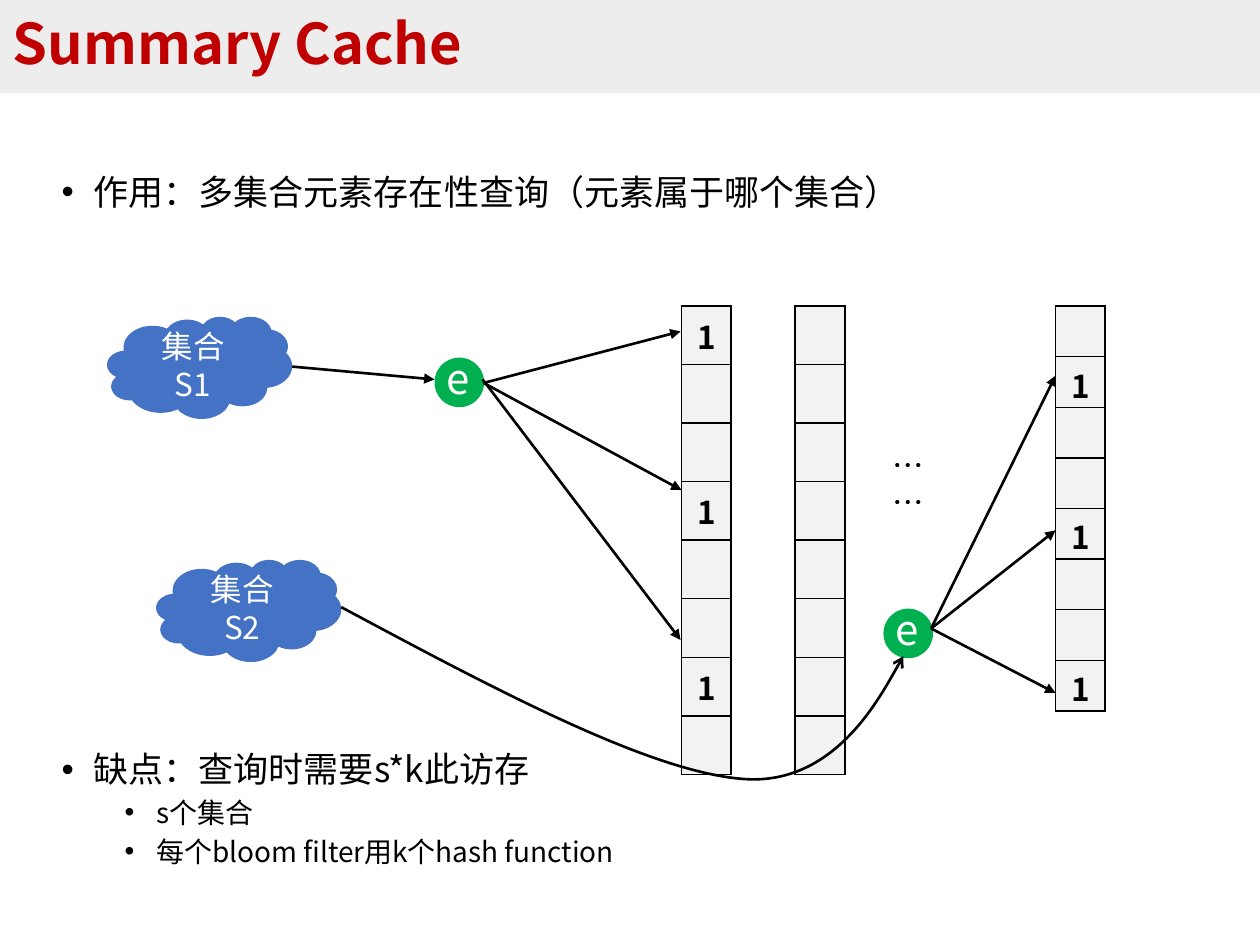
from lxml import etree
from pptx import Presentation
from pptx.dml.color import RGBColor
from pptx.enum import shapes, text
from pptx.oxml import ns
from pptx.util import Cm, Pt

FONT = "Noto Sans CJK SC"
BLACK = RGBColor(0x00, 0x00, 0x00)
WHITE = RGBColor(0xFF, 0xFF, 0xFF)
RED = RGBColor(0xC0, 0x00, 0x00)
BLUE = RGBColor(0x44, 0x72, 0xC4)
GREEN = RGBColor(0x00, 0xB0, 0x50)
BAND_GREY = RGBColor(0xED, 0xED, 0xED)
CELL_GREY = RGBColor(0xF2, 0xF2, 0xF2)


def add_run(paragraph, words, size, color, bold=False):
    run = paragraph.add_run()
    run.text = words
    run.font.size = Pt(size)
    run.font.bold = bold
    run.font.color.rgb = color
    run.font.name = FONT
    etree.SubElement(run.font._element, ns.qn("a:ea"), typeface=FONT)


def style_line(shape, arrowhead):
    shape.line.color.rgb = BLACK
    shape.line.width = Pt(1.5)
    line = shape.line._get_or_add_ln()
    etree.SubElement(line, ns.qn("a:tailEnd"), type=arrowhead)


presentation = Presentation()
presentation.slide_width, presentation.slide_height = Cm(25.4), Cm(19.05)
slide = presentation.slides.add_slide(presentation.slide_layouts[1])

# Title band
title = slide.shapes.title
title.left, title.top, title.width, title.height = Cm(0), Cm(0), Cm(25.4), Cm(1.88)
title.fill.solid()
title.fill.fore_color.rgb = BAND_GREY
frame = title.text_frame
frame.auto_size = text.MSO_AUTO_SIZE.NONE
frame.vertical_anchor = text.MSO_ANCHOR.MIDDLE
frame.margin_top = frame.margin_bottom = Cm(0.3)
paragraph = frame.paragraphs[0]
paragraph.alignment = text.PP_ALIGN.LEFT
paragraph.line_spacing = 0.9
add_run(paragraph, "Summary Cache", 32, RED, bold=True)

# Bullet list: words, level, size, space before in points
bullets = [
    ("作用：多集合元素存在性查询（元素属于哪个集合）", 0, 20, 0),
    ("缺点：查询时需要s*k此访存", 0, 20, 302),
    ("s个集合", 1, 16, 0),
    ("每个bloom filter用k个hash function", 1, 16, 0),
]
body = slide.placeholders[1]
body.left, body.top, body.width, body.height = Cm(0.99), Cm(3.18), Cm(23.42), Cm(15.87)
frame = body.text_frame
frame.auto_size = text.MSO_AUTO_SIZE.NONE
for index, (words, level, size, space) in enumerate(bullets):
    paragraph = frame.add_paragraph() if index else frame.paragraphs[0]
    paragraph.level = level
    paragraph.line_spacing = 1.16
    paragraph.space_before = Pt(space)
    properties = paragraph._p.get_or_add_pPr()
    properties.set("marL", str(Cm(0.64 + 1.27 * level)))
    properties.set("indent", str(-Cm(0.64)))
    etree.SubElement(properties, ns.qn("a:buFont"), typeface="Arial")
    etree.SubElement(properties, ns.qn("a:buChar"), char="•")
    add_run(paragraph, words, size, BLACK)

# Bit arrays: left, rows that hold a 1, top and bottom cell margins
bit_arrays = [
    (13.74, (0, 3, 6), 0.13, 0.13),
    (16.03, (), 0.13, 0.13),
    (21.28, (1, 4, 7), 0.1, 0),
]
for left, set_rows, margin_top, margin_bottom in bit_arrays:
    table = slide.shapes.add_table(8, 1, Cm(left), Cm(6.17), Cm(1), Cm(8.16)).table
    table.first_row = table.horz_banding = False
    for index, row in enumerate(table.rows):
        row.height = Cm(1.02)
        cell = row.cells[0]
        cell.margin_top, cell.margin_bottom = Cm(margin_top), Cm(margin_bottom)
        cell_properties = cell._tc.get_or_add_tcPr()
        for side in ("lnL", "lnR", "lnT", "lnB"):
            border = etree.SubElement(cell_properties, ns.qn("a:" + side), w=str(Pt(1)))
            border_fill = etree.SubElement(border, ns.qn("a:solidFill"))
            etree.SubElement(border_fill, ns.qn("a:srgbClr"), val=str(BLACK))
        cell.fill.solid()
        cell.fill.fore_color.rgb = CELL_GREY
        paragraph = cell.text_frame.paragraphs[0]
        paragraph.alignment = text.PP_ALIGN.CENTER
        if index in set_rows:
            add_run(paragraph, "1", 18, BLACK, bold=True)
        else:
            ending = etree.SubElement(paragraph._p, ns.qn("a:endParaRPr"), sz="1800")
            for script in ("a:latin", "a:ea"):
                etree.SubElement(ending, ns.qn(script), typeface=FONT)

# Ellipsis between the arrays
dots = slide.shapes.add_textbox(Cm(17.75), Cm(8.86), Cm(1.75), Cm(1.02))
dots.text_frame.word_wrap = True
add_run(dots.text_frame.paragraphs[0], "… …", 18, BLACK)

# Clouds for the sets
for words, left, top in (("集合S1", 2.16, 6.38), ("集合S2", 3.15, 11.28)):
    cloud = slide.shapes.add_shape(
        shapes.MSO_SHAPE.CLOUD, Cm(left), Cm(top), Cm(3.73), Cm(2.06))
    cloud.shadow.inherit = False
    cloud.fill.solid()
    cloud.fill.fore_color.rgb = BLUE
    cloud.line.fill.background()
    cloud.text_frame.vertical_anchor = text.MSO_ANCHOR.MIDDLE
    paragraph = cloud.text_frame.paragraphs[0]
    paragraph.alignment = text.PP_ALIGN.CENTER
    add_run(paragraph, words, 18, WHITE)

# Elements: a circle grouped with its letter
for left, top in ((8.76, 7.21), (17.81, 12.27)):
    group = slide.shapes.add_group_shape()
    circle = group.shapes.add_shape(
        shapes.MSO_SHAPE.OVAL, Cm(left), Cm(top), Cm(1), Cm(1))
    circle.shadow.inherit = False
    circle.fill.solid()
    circle.fill.fore_color.rgb = GREEN
    circle.line.fill.background()
    letter = group.shapes.add_textbox(Cm(left), Cm(top - 0.22), Cm(0.97), Cm(1.27))
    letter.text_frame.word_wrap = False
    add_run(letter.text_frame.paragraphs[0], "e", 24, WHITE)

# Straight arrows: from x, y to x, y
arrows = [
    (5.89, 7.39, 8.76, 7.65),
    (9.75, 7.72, 13.72, 6.68),
    (9.75, 7.72, 13.74, 9.88),
    (9.73, 7.65, 13.72, 12.9),
    (18.77, 12.67, 21.28, 7.57),
    (18.77, 12.67, 21.28, 10.69),
    (18.77, 12.67, 21.28, 13.97),
]
for ends in arrows:
    arrow = slide.shapes.add_connector(
        shapes.MSO_CONNECTOR.STRAIGHT, *(Cm(value) for value in ends))
    style_line(arrow, "triangle")
    etree.SubElement(arrow._element.spPr, ns.qn("a:effectLst"))

# Curved arrow from S2 to its element: start, then two Bézier segments
curve_points = [
    (6.88, 12.24),
    (9.96, 13.89), (13.06, 15.54), (14.94, 15.7),
    (16.84, 15.88), (18.21, 13.23), (18.21, 13.23),
]
points = [(Cm(x), Cm(y)) for x, y in curve_points]
builder = slide.shapes.build_freeform(*points[0])
builder.add_line_segments(points[1:], close=False)
curve = builder.convert_to_shape()
segments = curve._element.xpath(".//a:lnTo")
for start in range(0, len(segments), 3):
    bezier = etree.Element(ns.qn("a:cubicBezTo"))
    segments[start].addprevious(bezier)
    for segment in segments[start:start + 3]:
        bezier.append(segment[0])
        segment.getparent().remove(segment)
curve.shadow.inherit = False
curve.fill.background()
style_line(curve, "arrow")

presentation.save("out.pptx")
